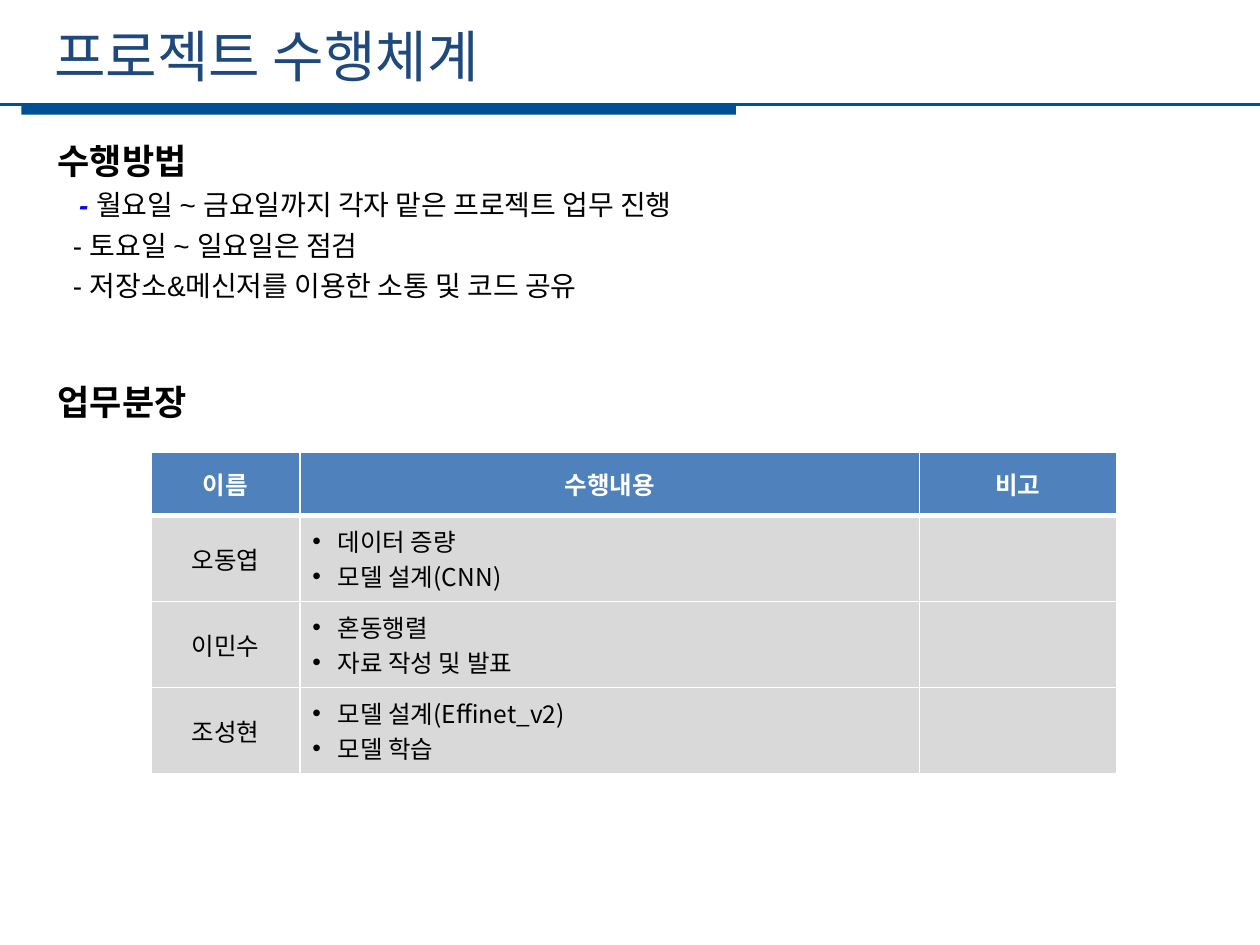
from lxml import etree
from pptx import Presentation
from pptx.dml.color import RGBColor
from pptx.enum.shapes import MSO_CONNECTOR, MSO_SHAPE
from pptx.enum.text import MSO_ANCHOR, MSO_AUTO_SIZE, PP_ALIGN
from pptx.oxml.ns import qn
from pptx.util import Inches, Pt

RECT, STRAIGHT = MSO_SHAPE.RECTANGLE, MSO_CONNECTOR.STRAIGHT
TOP, MIDDLE, NO_FIT = MSO_ANCHOR.TOP, MSO_ANCHOR.MIDDLE, MSO_AUTO_SIZE.NONE
LEFT, CENTER = PP_ALIGN.LEFT, PP_ALIGN.CENTER
COLS, ROWS, CELL = 100, 75, Inches(0.1)  # slide grid


def rgb(value):
    return RGBColor.from_string(value)


def units(*values):
    return [round(v * CELL) for v in values]


class Deck:
    cjk, latin = "Noto Sans CJK KR", "Arial"
    navy, rule, header, body = "1F497D", "005094", "4F81BD", "D9D9D9"
    black, white, blue = "000000", "FFFFFF", "0000FF"

    def __init__(self):
        self.prs = Presentation()
        self.prs.slide_width, self.prs.slide_height = units(COLS, ROWS)
        self.s = self.prs.slides.add_slide(self.prs.slide_layouts[5])

    def run(self, p, text, size, color, font=cjk, bold=False, italic=False):
        r = p.add_run()
        r.text = text
        f = r.font
        f.name, f.size, f.bold, f.italic = font, Pt(size), bold, italic
        f.color.rgb = rgb(color)
        latin = r._r.get_or_add_rPr().find(qn("a:latin"))
        ea = etree.Element(qn("a:ea"), typeface=self.cjk)
        latin.addnext(ea)

    def indent(self, p, margin, hanging=0, bullet=None):
        pPr = p._p.get_or_add_pPr()
        left, first = units(margin, -hanging)
        pPr.set("marL", str(left))
        pPr.set("indent", str(first))
        if bullet:
            etree.SubElement(pPr, qn("a:buFont"), typeface=self.latin)
            etree.SubElement(pPr, qn("a:buChar"), char=bullet)

    def title(self, text, *box):
        sp = self.s.shapes.title
        sp.left, sp.top, sp.width, sp.height = units(*box)
        tf = sp.text_frame
        tf.auto_size, tf.vertical_anchor = NO_FIT, MIDDLE
        p = tf.paragraphs[0]
        p.alignment = LEFT
        self.run(p, text, 32, self.navy)

    def bar(self, *box):
        sp = self.s.shapes.add_shape(RECT, *units(*box))
        sp.shadow.inherit = False
        sp.fill.solid()
        sp.fill.fore_color.rgb = rgb(self.rule)
        sp.line.fill.background()

    def line(self, *ends):
        cn = self.s.shapes.add_connector(STRAIGHT, *units(*ends))
        cn.line.color.rgb = rgb(self.rule)
        cn.line.width = Pt(1.25)
        etree.SubElement(cn._element.spPr, qn("a:effectLst"))

    def text(self, paragraphs, *box):
        """Each paragraph is (indent, space before, runs)."""
        tf = self.s.shapes.add_textbox(*units(*box)).text_frame
        tf.word_wrap, tf.vertical_anchor = True, TOP
        for i, (margin, before, runs) in enumerate(paragraphs):
            p = tf.add_paragraph() if i else tf.paragraphs[0]
            p.line_spacing, p.space_before = Pt(23), Pt(before)
            self.indent(p, margin)
            for text, style in runs:
                self.run(p, text, font=self.latin, **style)

    def border(self, cell, top, bottom):
        tcPr = cell._tc.get_or_add_tcPr()
        for i, (side, width) in enumerate(zip("LRTB", (1, 1, top, bottom))):
            ln = etree.Element(qn("a:ln" + side), w=str(Pt(width)))
            fill = etree.SubElement(ln, qn("a:solidFill"))
            etree.SubElement(fill, qn("a:srgbClr"), val=self.white)
            tcPr.insert(i, ln)

    def table(self, rows, widths, heights, left, top):
        box = units(left, top, sum(widths), sum(heights))
        tbl = self.s.shapes.add_table(len(rows), len(widths), *box).table
        for col, width in zip(tbl.columns, units(*widths)):
            col.width = width
        for row, height in zip(tbl.rows, units(*heights)):
            row.height = height
        for i, row in enumerate(rows):
            head = i == 0
            for j, content in enumerate(row):
                cell = tbl.cell(i, j)
                cell.vertical_anchor = MIDDLE
                cell.fill.solid()
                cell.fill.fore_color.rgb = rgb(self.header if head else self.body)
                self.border(cell, 3 if i == 1 else 1, 3 if head else 1)
                bulleted = isinstance(content, list)
                for k, item in enumerate(content if bulleted else [content]):
                    if not item:
                        continue
                    tf = cell.text_frame
                    p = tf.add_paragraph() if k else tf.paragraphs[0]
                    if bulleted:
                        self.indent(p, 2, 2, "•")
                    else:
                        p.alignment = CENTER
                    self.run(p, item, 14, self.white if head else self.black, bold=head)


def main():
    deck = Deck()

    # Title with its rule
    deck.bar(1.7, 8.3, 56.7, 0.8)
    deck.line(0, 8.3, COLS, 8.3)
    deck.title("프로젝트 수행체계", 3.3, 1.2, 89.6, 6.4)

    # Working method and the heading of the table
    heading = dict(size=20, color=deck.black, bold=True)
    item = dict(size=16, color=deck.black)
    accent = dict(size=16, color=deck.blue, bold=True, italic=True)
    deck.text([
        (0, 0, [("수행방법", heading)]),
        (1.7, 0, [("- ", accent), ("월요일 ~ 금요일까지 각자 맡은 프로젝트 업무 진행", item)]),
        (1.2, 0, [("- 토요일 ~ 일요일은 점검", item)]),
        (1.2, 0, [("- 저장소&메신저를 이용한 소통 및 코드 공유", item)]),
        (0, 46, [("업무분장", heading)]),
    ], 3.6, 10.7, 91.2, 23.6)

    # Division of work
    deck.table([
        ("이름", "수행내용", "비고"),
        ("오동엽", ["데이터 증량", "모델 설계(CNN)"], ""),
        ("이민수", ["혼동행렬", "자료 작성 및 발표"], ""),
        ("조성현", ["모델 설계(Effinet_v2)", "모델 학습"], ""),
    ], (11.8, 49.2, 15.6), (5, 6.83, 6.83, 6.83), 12, 35.9)

    deck.prs.save("out.pptx")


if __name__ == "__main__":
    main()
